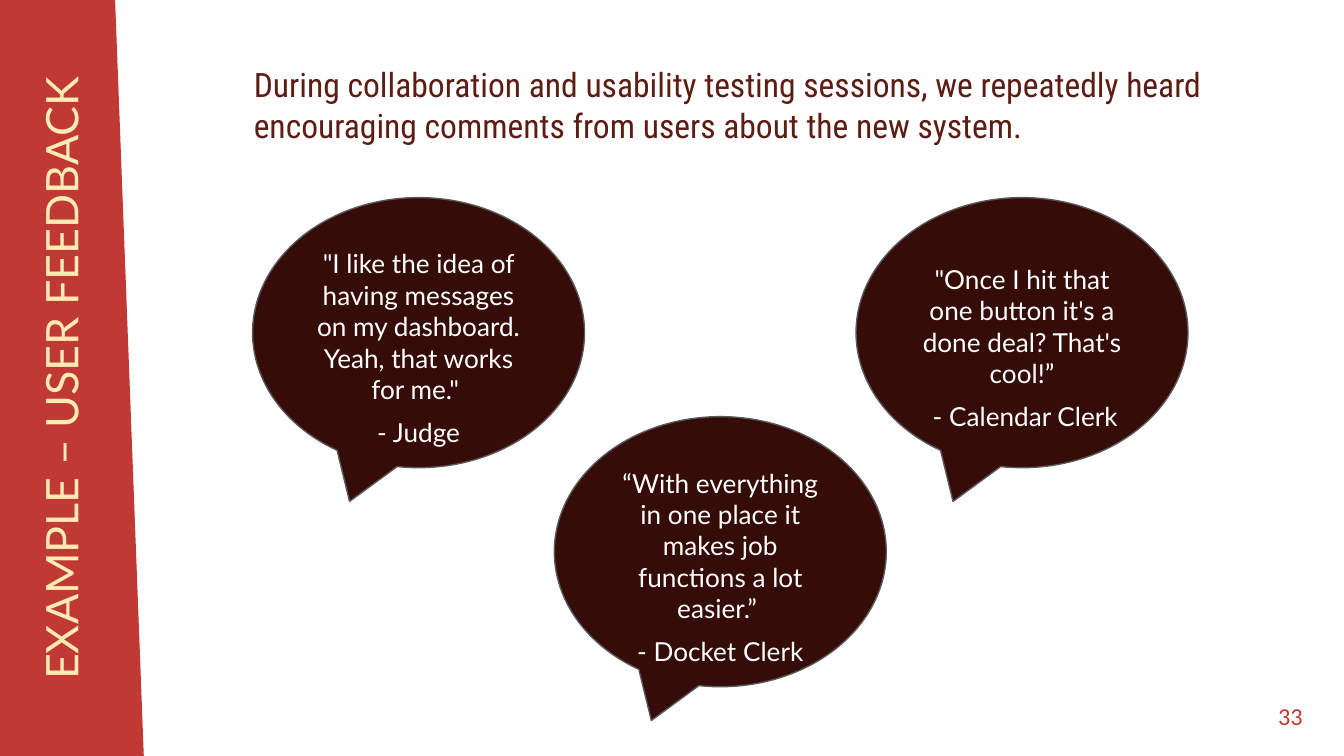
from typing import NamedTuple

from pptx import Presentation
from pptx.dml.color import RGBColor
from pptx.enum.shapes import MSO_SHAPE
from pptx.enum.text import MSO_ANCHOR, PP_ALIGN
from pptx.util import Inches, Pt

BAND = MSO_SHAPE.FLOWCHART_MANUAL_INPUT
BUBBLE = MSO_SHAPE.OVAL_CALLOUT
LEFT, CENTER, RIGHT = PP_ALIGN.LEFT, PP_ALIGN.CENTER, PP_ALIGN.RIGHT
TOP, MIDDLE = MSO_ANCHOR.TOP, MSO_ANCHOR.MIDDLE

COLORS = {
    "red": "C03935",
    "cream": "FCECB4",
    "brown": "5C1D14",
    "dark": "350C07",
    "gray": "595959",
    "white": "FFFFFF",
}
WIDE, HIGH = 2.47, 2.01  # bubble size
FIRST, LAST = 1.88, 6.37  # left edges of the outer bubbles
TEXT_WIDE = 1.74


class Box(NamedTuple):
    x: float
    y: float
    w: float
    h: float


class Quote(NamedTuple):
    words: str
    who: str
    top: float
    high: float  # height of the text


QUOTES = [
    Quote('"I like the idea of having messages on my dashboard. '
          'Yeah, that works for me." ', "- Judge", 1.47, 1.36),
    Quote("“With everything in one place it makes job functions a lot easier.” ",
          "- Docket Clerk", 3.1, 1.36),
    Quote('"Once I hit that one button it\'s a done deal? That\'s cool!”',
          " - Calendar Clerk", 1.47, 1.13),
]


def color(name: str) -> RGBColor:
    return RGBColor.from_string(COLORS[name])


def add_shape(slide, kind, box: Box, fill: str, line: str = ""):
    shape = slide.shapes.add_shape(kind, *map(Inches, box))
    shape.shadow.inherit = False
    shape.fill.solid()
    shape.fill.fore_color.rgb = color(fill)
    if line:
        shape.line.color.rgb = color(line)
        shape.line.width = Pt(0.75)
    else:
        shape.line.fill.background()
    return shape


def add_text(slide, box: Box, *lines: str, size: float, tint: str,
             font: str = "Lato", align=CENTER, anchor=TOP,
             pad: float = 0.05, gap: float = 0):
    shape = slide.shapes.add_textbox(*map(Inches, box))
    frame = shape.text_frame
    frame.word_wrap = True
    frame.vertical_anchor = anchor
    frame.margin_top = frame.margin_bottom = Inches(pad)
    for i, line in enumerate(lines):
        para = frame.paragraphs[0] if i == 0 else frame.add_paragraph()
        para.alignment = align
        if i < len(lines) - 1:
            para.space_after = Pt(gap)
        run = para.add_run()
        run.text = line
        run.font.name = font
        run.font.size = Pt(size)
        run.font.color.rgb = color(tint)
    return shape


def add_quote(slide, quote: Quote, left: float) -> None:
    bubble = add_shape(slide, BUBBLE, Box(left, quote.top, WIDE, HIGH),
                       "dark", "gray")
    bubble.adjustments[0] = -0.208
    bubble.adjustments[1] = 0.625
    box = Box(left + (WIDE - TEXT_WIDE) / 2,
              quote.top + (HIGH - quote.high) / 2, TEXT_WIDE, quote.high)
    add_text(slide, box, quote.words, quote.who, size=14, tint="white", gap=6)


def main() -> None:
    deck = Presentation()
    deck.slide_width = Inches(10)
    deck.slide_height = Inches(10) * 9 // 16
    slide = deck.slides.add_slide(deck.slide_layouts[6])

    # Side band with the title
    band = add_shape(slide, BAND, Box(-2.28, 2.28, 5.63, 1.07), "red")
    band.rotation = 90
    title = add_text(slide, Box(-2.33, 2.48, 5.63, 0.67),
                     "EXAMPLE – USER FEEDBACK", size=24, tint="cream", pad=0.1)
    title.rotation = 270

    # Lead sentence
    add_text(slide, Box(1.79, 0.43, 7.4, 0.71),
             "During collaboration and usability testing sessions, we repeatedly "
             "heard encouraging comments from users about the new system.",
             size=18, tint="brown", font="Roboto Condensed", align=LEFT)

    # Speech bubbles
    step = (LAST - FIRST) / (len(QUOTES) - 1)
    for i, quote in enumerate(QUOTES):
        add_quote(slide, quote, FIRST + i * step)

    # Page number
    add_text(slide, Box(9.19, 5.11, 0.6, 0.43), "33", size=13, tint="red",
             font="Calibri", align=RIGHT, anchor=MIDDLE, pad=0.1)

    deck.save("out.pptx")


if __name__ == "__main__":
    main()
